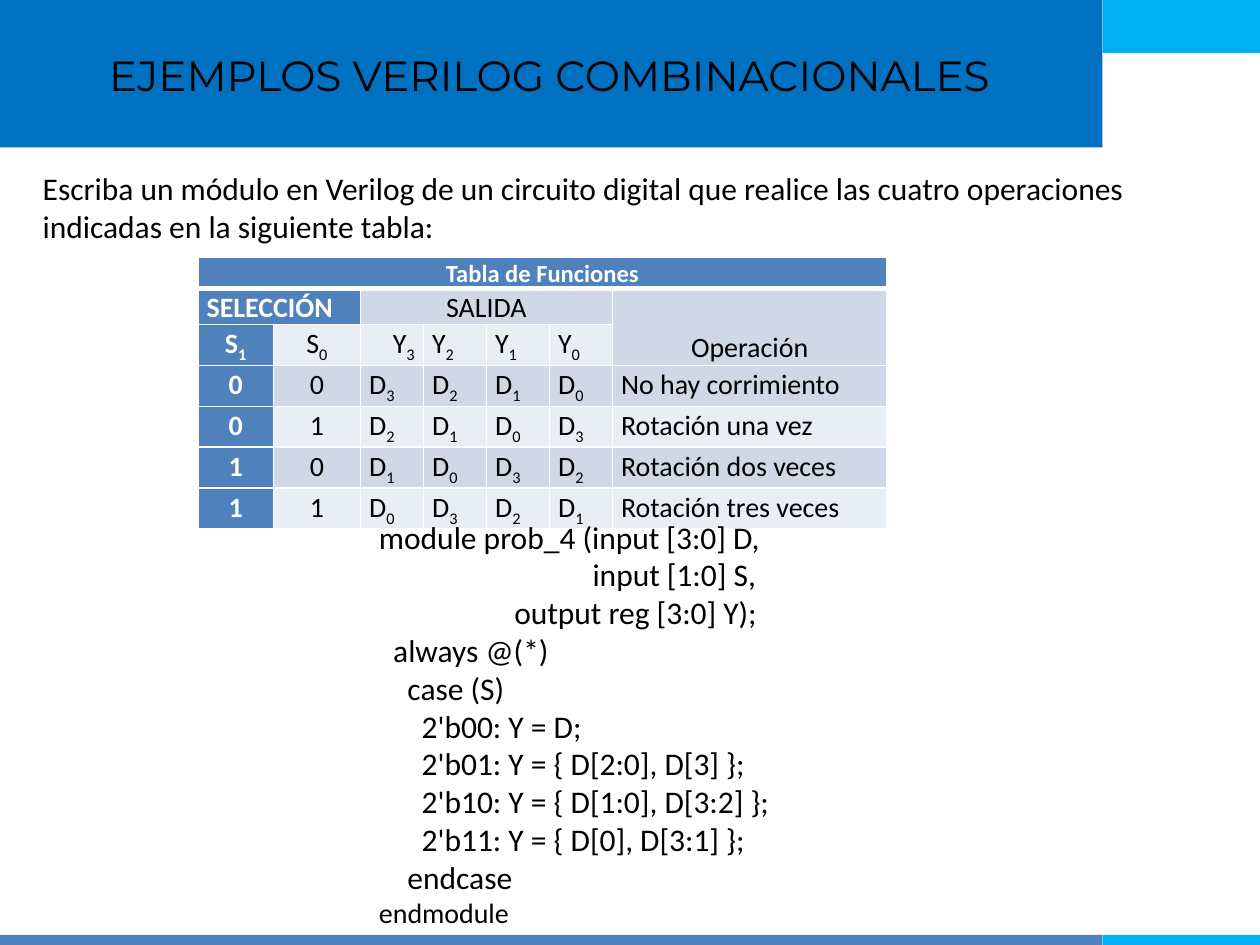
import pptx
import pptx.util
import pptx.dml.color
import pptx.enum.shapes
import pptx.enum.text
import pptx.oxml
import pptx.oxml.ns

In, Pt = pptx.util.Inches, pptx.util.Pt
RGB = pptx.dml.color.RGBColor
ALIGN = pptx.enum.text.PP_ALIGN
ANCHOR = pptx.enum.text.MSO_ANCHOR

BLUE = RGB(0x00, 0x70, 0xC0)
CYAN = RGB(0x00, 0xB0, 0xF0)
STEEL = RGB(0x4F, 0x81, 0xBD)
BAND_DARK = RGB(0xD0, 0xD8, 0xE8)
BAND_LIGHT = RGB(0xE9, 0xED, 0xF4)
BLACK = RGB(0, 0, 0)
WHITE = RGB(0xFF, 0xFF, 0xFF)

WIDTH, HEIGHT = 10, 7.5
COL_WIDTHS = [0.6, 0.69, 0.5, 0.5, 0.5, 0.5, 2.18]
ROW_HEIGHTS = [0.24, 0.24, 0.25, 0.24, 0.24, 0.24, 0.24]
OPERATIONS = ["No hay corrimiento", "Rotación una vez",
              "Rotación dos veces", "Rotación tres veces"]
INDENT = 0.113
# Indent steps and text of each line of code
CODE = [
    (0, "module prob_4 (input [3:0] D,"),
    (15, "input [1:0] S,"),
    (9.5, "output reg [3:0] Y);"),
    (1, "always @(*)"),
    (2, "case (S)"),
    (3, "2'b00: Y = D;"),
    (3, "2'b01: Y = { D[2:0], D[3] };"),
    (3, "2'b10: Y = { D[1:0], D[3:2] };"),
    (3, "2'b11: Y = { D[0], D[3:1] };"),
    (2, "endcase"),
    (0, "endmodule"),
]


def format_run(r, size, color=BLACK, bold=False, name="Calibri"):
    r.font.size = Pt(size)
    r.font.name = name
    r.font.bold = bold
    r.font.color.rgb = color


def add_text(slide, box, text, size, name="Calibri"):
    tf = slide.shapes.add_textbox(*map(In, box)).text_frame
    tf.word_wrap = True
    tf.text = text
    for p in tf.paragraphs:
        for r in p.runs:
            format_run(r, size, name=name)
    return tf


def add_bands(slide, box):
    """Coloured bands along the top and bottom edges of the box."""
    x, y, w, h = box
    split = w * 0.875
    foot = 0.08
    bands = [
        (x, y, split, 1.17, BLUE),
        (x + split, y, w - split, 0.42, CYAN),
        (x, y + h - foot, split, foot, STEEL),
        (x + split, y + h - foot, w - split, foot, CYAN),
    ]
    for *place, color in bands:
        sp = slide.shapes.add_shape(
            pptx.enum.shapes.MSO_SHAPE.RECTANGLE, *map(In, place))
        sp.shadow.inherit = False
        sp.fill.solid()
        sp.fill.fore_color.rgb = color
        sp.line.fill.background()


def add_title(slide, box):
    tf = add_text(slide, box, "EJEMPLOS VERILOG COMBINACIONALES", 24, "Montserrat")
    tf.vertical_anchor = ANCHOR.MIDDLE
    tf.paragraphs[0].alignment = ALIGN.CENTER


def set_borders(cell, row):
    tc_pr = cell._tc.get_or_add_tcPr()
    widths = {"L": 1, "R": 1, "T": 3 if row == 1 else 1, "B": 3 if row == 0 else 1}
    for i, (side, width) in enumerate(widths.items()):
        tc_pr.insert(i, pptx.oxml.parse_xml(
            f'<a:ln{side} {pptx.oxml.ns.nsdecls("a")} w="{Pt(width)}">'
            f'<a:solidFill><a:srgbClr val="{WHITE}"/></a:solidFill></a:ln{side}>'))


def fill_cell(cell, text, fill, size, align):
    """Write the text; what follows an underscore becomes a subscript."""
    cell.fill.solid()
    cell.fill.fore_color.rgb = fill
    cell.margin_left = cell.margin_right = In(0.07)
    cell.margin_top = cell.margin_bottom = 0
    p = cell.text_frame.paragraphs[0]
    p.alignment = align
    p.line_spacing = 1.07
    header = fill == STEEL
    for i, part in enumerate(text.split("_") if text else []):
        r = p.add_run()
        r.text = part
        format_run(r, size, WHITE if header else BLACK, header)
        if i:
            r._r.get_or_add_rPr().set("baseline", "-25000")


def table_texts():
    rows = [
        ["Tabla de Funciones"] + [""] * 6,
        ["SELECCIÓN", "", "SALIDA", "", "", "", "Operación"],
        ["S_1", "S_0", "Y_3", "Y_2", "Y_1", "Y_0", ""],
    ]
    for shift, operation in enumerate(OPERATIONS):
        outputs = [f"D_{(3 - col - shift) % 4}" for col in range(4)]
        rows.append([*f"{shift:02b}", *outputs, operation])
    return rows


def add_function_table(slide, box):
    rows = table_texts()
    table = slide.shapes.add_table(
        len(rows), len(COL_WIDTHS), *map(In, box)).table
    for column, width in zip(table.columns, COL_WIDTHS):
        column.width = In(width)
    for row, height in zip(table.rows, ROW_HEIGHTS):
        row.height = In(height)
    for i, texts in enumerate(rows):
        for j, text in enumerate(texts):
            header = i == 0 or j == 0 or (i, j) == (1, 1)
            fill = STEEL if header else BAND_DARK if i % 2 else BAND_LIGHT
            align = ALIGN.CENTER if j < 2 or i == 1 else ALIGN.LEFT
            if text == "SELECCIÓN":
                align = ALIGN.LEFT
            elif text == "Y_3":
                align = ALIGN.RIGHT
            cell = table.cell(i, j)
            fill_cell(cell, text, fill, 14 if i == 0 else 16, align)
            set_borders(cell, i)
    for first, last in [((0, 0), (0, 6)), ((1, 0), (1, 1)),
                        ((1, 2), (1, 5)), ((1, 6), (2, 6))]:
        table.cell(*first).merge(table.cell(*last))
    table.cell(1, 6).vertical_anchor = ANCHOR.BOTTOM


def add_code(slide, box):
    tf = add_text(slide, box, "\n".join(line for _, line in CODE), 18)
    for p, (steps, _) in zip(tf.paragraphs, CODE):
        p._p.get_or_add_pPr().set("marL", str(In(steps * INDENT)))
    tf.paragraphs[-1].runs[0].font.size = Pt(16)


def main():
    prs = pptx.Presentation()
    prs.slide_width, prs.slide_height = In(WIDTH), In(HEIGHT)
    slide = prs.slides.add_slide(prs.slide_layouts[6])
    add_bands(slide, (0, 0, WIDTH, HEIGHT))
    add_title(slide, (0.11, 0.11, 8.5, 0.97))
    add_text(slide, (0.24, 1.29, 8.82, 0.71),
             "Escriba un módulo en Verilog de un circuito digital que realice "
             "las cuatro operaciones indicadas en la siguiente tabla:", 18)
    add_function_table(slide, (1.57, 2.04, sum(COL_WIDTHS), sum(ROW_HEIGHTS)))
    add_code(slide, (2.91, 4.06, 5, 3.4))
    prs.save("out.pptx")


if __name__ == "__main__":
    main()
